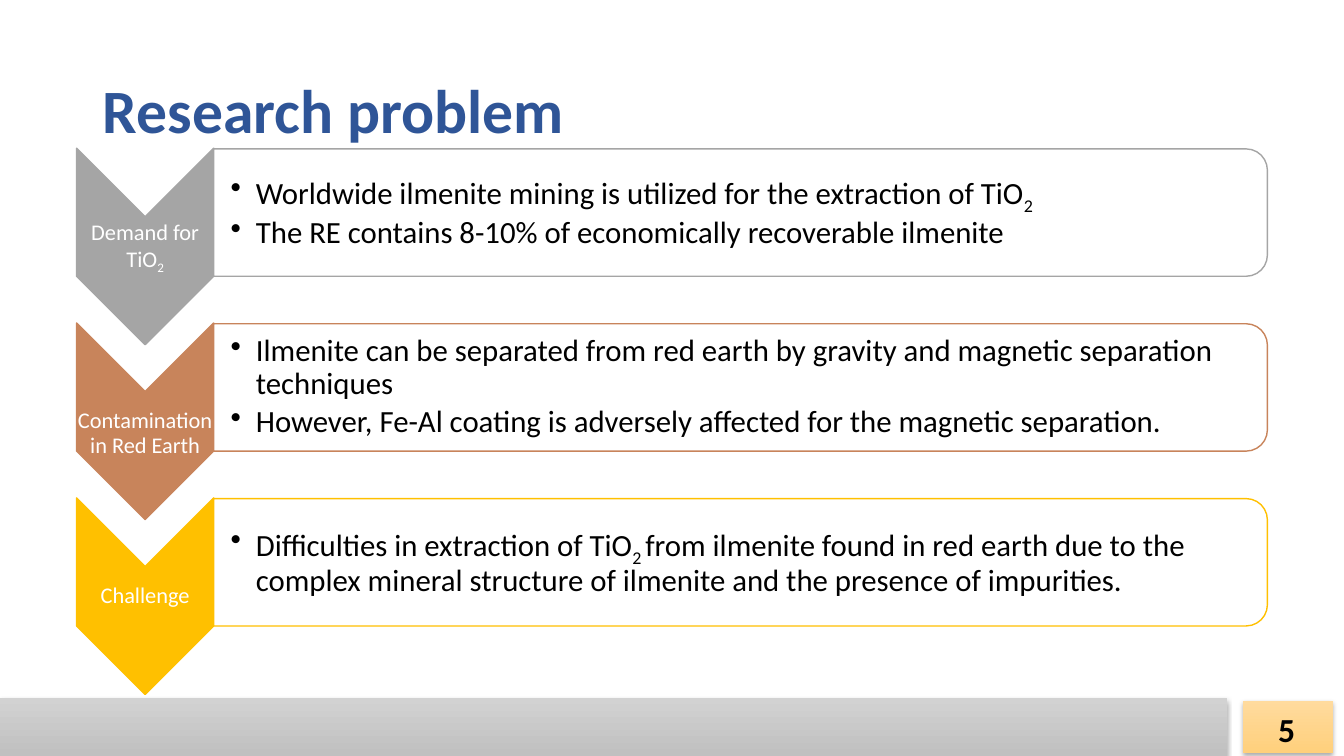
"""Build the research problem slide with three chevron rows."""
import pptx
import pptx.util
import pptx.dml.color
import pptx.enum.shapes
import pptx.enum.text
import pptx.oxml
import pptx.oxml.ns

RGB = pptx.dml.color.RGBColor
Pt = pptx.util.Pt
KIND = pptx.enum.shapes.MSO_SHAPE
ALIGN = pptx.enum.text.PP_ALIGN
MIDDLE = pptx.enum.text.MSO_ANCHOR.MIDDLE
WIDE, HIGH = pptx.util.Inches(13.33), pptx.util.Inches(7.5)

WHITE, BLACK = RGB(255, 255, 255), RGB(0, 0, 0)
NAVY = RGB(0x2F, 0x55, 0x97)
GREY, CLAY, GOLD = RGB(0xA5, 0xA5, 0xA5), RGB(0xC8, 0x84, 0x5B), RGB(0xFF, 0xC0, 0)
SILVER = RGB(0xD2, 0xD2, 0xD2), RGB(0xC0, 0xC0, 0xC0)
AMBER = RGB(0xFF, 0xDB, 0x9E), RGB(0xFF, 0xD0, 0x7C)

TOP, PITCH = 19.7, 23.13
ROWS = [
    (GREY, "Demand for TiO~2~", [
        "Worldwide ilmenite mining is utilized for the extraction of TiO~2~",
        "The RE contains 8-10% of economically recoverable ilmenite"]),
    (CLAY, " Contamination in Red Earth", [
        "Ilmenite can be separated from red earth by gravity and magnetic "
        "separation techniques",
        "However, Fe-Al coating is adversely affected for the magnetic separation."]),
    (GOLD, "Challenge", [
        "Difficulties in extraction of TiO~2 ~from ilmenite found in red earth due "
        "to the complex mineral structure of ilmenite and the presence of impurities."]),
]


def share(x, y, w, h):
    """Turn percentages of the slide into lengths."""
    return [int(n * size / 100) for n, size in zip((x, y, w, h), (WIDE, HIGH) * 2)]


def apply(item, values):
    """Set every attribute in a dict of values."""
    for name, value in values.items():
        setattr(item, name, value)


def write(frame, lines, look, form):
    """Fill a frame with lines, where tildes enclose subscripts."""
    for i, line in enumerate(lines):
        para = frame.paragraphs[0] if i == 0 else frame.add_paragraph()
        apply(para, form)
        for j, part in enumerate(line.split("~")):
            if not part:
                continue
            run = para.add_run()
            run.text = part
            apply(run.font, {"name": "Calibri", **look["font"]})
            run.font.color.rgb = look["color"]
            if j % 2:
                run.font._element.set("baseline", "-25000")


def text(slide, area, lines, look, form, frame):
    """Add a wrapped text box and return its frame."""
    box = slide.shapes.add_textbox(*share(*area)).text_frame
    apply(box, {"word_wrap": True, **frame})
    write(box, lines, look, form)
    return box


def bullet(para):
    """Give a paragraph a hanging round bullet."""
    props = para._p.get_or_add_pPr()
    props.set("marL", "228600")
    props.set("indent", "-228600")
    mark = pptx.oxml.parse_xml(
        f'<a:buChar {pptx.oxml.ns.nsdecls("a")} char="•"/>')
    props.append(mark)


def turn(slide, kind, area, fill, line):
    """Add a shape turned by a quarter that covers the given area."""
    x, y, w, h = share(*area)
    shift = (w - h) // 2
    shape = slide.shapes.add_shape(kind, x + shift, y - shift, h, w)
    shape.rotation = 90
    shape.shadow.inherit = False
    shape.fill.solid()
    shape.fill.fore_color.rgb = fill
    shape.line.color.rgb = line
    shape.line.width = Pt(1)


def bar(slide, area, shades):
    """Add a graded rectangle with a soft shadow."""
    shape = slide.shapes.add_shape(KIND.RECTANGLE, *share(*area))
    shape.line.fill.background()
    shape.fill.gradient()
    shape.fill.gradient_angle = 270
    for i, (stop, shade) in enumerate(zip(shape.fill.gradient_stops, shades)):
        stop.color.rgb = shade
        stop.position = i
    shape.shadow.inherit = False
    effects = shape._element.spPr.find(pptx.oxml.ns.qn("a:effectLst"))
    effects.append(pptx.oxml.parse_xml(
        f'<a:outerShdw {pptx.oxml.ns.nsdecls("a")} blurRad="44450" dist="27940" '
        'dir="5400000" rotWithShape="0"><a:srgbClr val="000000">'
        '<a:alpha val="32000"/></a:srgbClr></a:outerShdw>'))


def row(slide, y, color, label, points):
    """Add one chevron with its label and its bulleted panel."""
    turn(slide, KIND.CHEVRON, (5.7, y - 0.1, 10.2, 26), color, color)
    edge = dict.fromkeys(
        ("margin_left", "margin_right", "margin_top", "margin_bottom"), Pt(0.7))
    text(slide, (5.7, y + 9.1, 10.2, 7.7), [label],
         {"font": {"size": Pt(16)}, "color": WHITE},
         {"alignment": ALIGN.CENTER, "line_spacing": 0.9},
         {"vertical_anchor": MIDDLE, **edge})
    turn(slide, KIND.ROUND_2_SAME_RECTANGLE, (15.9, y, 78.4, 16.85), WHITE, color)
    edge = {**dict.fromkeys(edge, Pt(1.4)), "margin_left": Pt(12.2)}
    body = text(slide, (15.9, y + 0.8, 77.95, 15.2), points,
                {"font": {"size": Pt(22)}, "color": BLACK},
                {"line_spacing": 0.9, "space_after": Pt(3.3)},
                {"vertical_anchor": MIDDLE, **edge})
    for para in body.paragraphs:
        bullet(para)


def head(slide, words):
    """Place and format the title."""
    title = slide.shapes.title
    apply(title, dict(zip(("left", "top", "width", "height"),
                          share(6.9, 5.33, 86.27, 19.33))))
    apply(title.text_frame, {"vertical_anchor": MIDDLE, "word_wrap": True,
                             "auto_size": pptx.enum.text.MSO_AUTO_SIZE.NONE})
    write(title.text_frame, [words],
          {"font": {"size": Pt(44), "bold": True}, "color": NAVY},
          {"alignment": ALIGN.LEFT, "line_spacing": 0.9})


def main():
    """Build and save the slide."""
    deck = pptx.Presentation()
    apply(deck, {"slide_width": WIDE, "slide_height": HIGH})
    slide = deck.slides.add_slide(deck.slide_layouts[5])
    head(slide, "Research problem")
    bar(slide, (92.5, 92.67, 6.68, 6.93), AMBER)
    bar(slide, (0, 92.27, 91.3, 7.73), SILVER)
    text(slide, (94.37, 93.07, 3.75, 6.67), ["5"],
         {"font": {"size": Pt(24), "bold": True}, "color": BLACK}, {}, {})
    for i, item in enumerate(ROWS):
        row(slide, TOP + i * PITCH, *item)
    deck.save("out.pptx")


if __name__ == "__main__":
    main()
